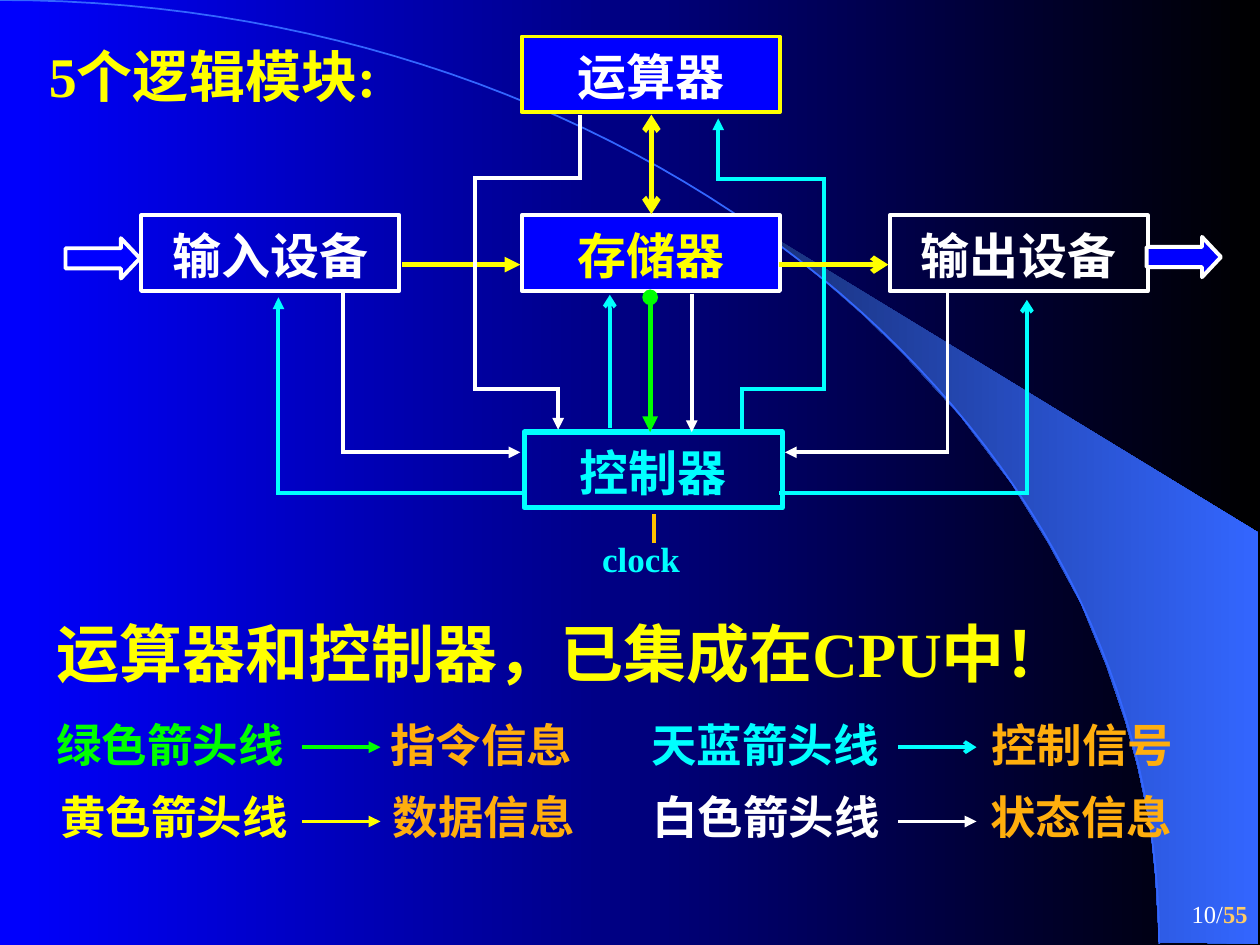
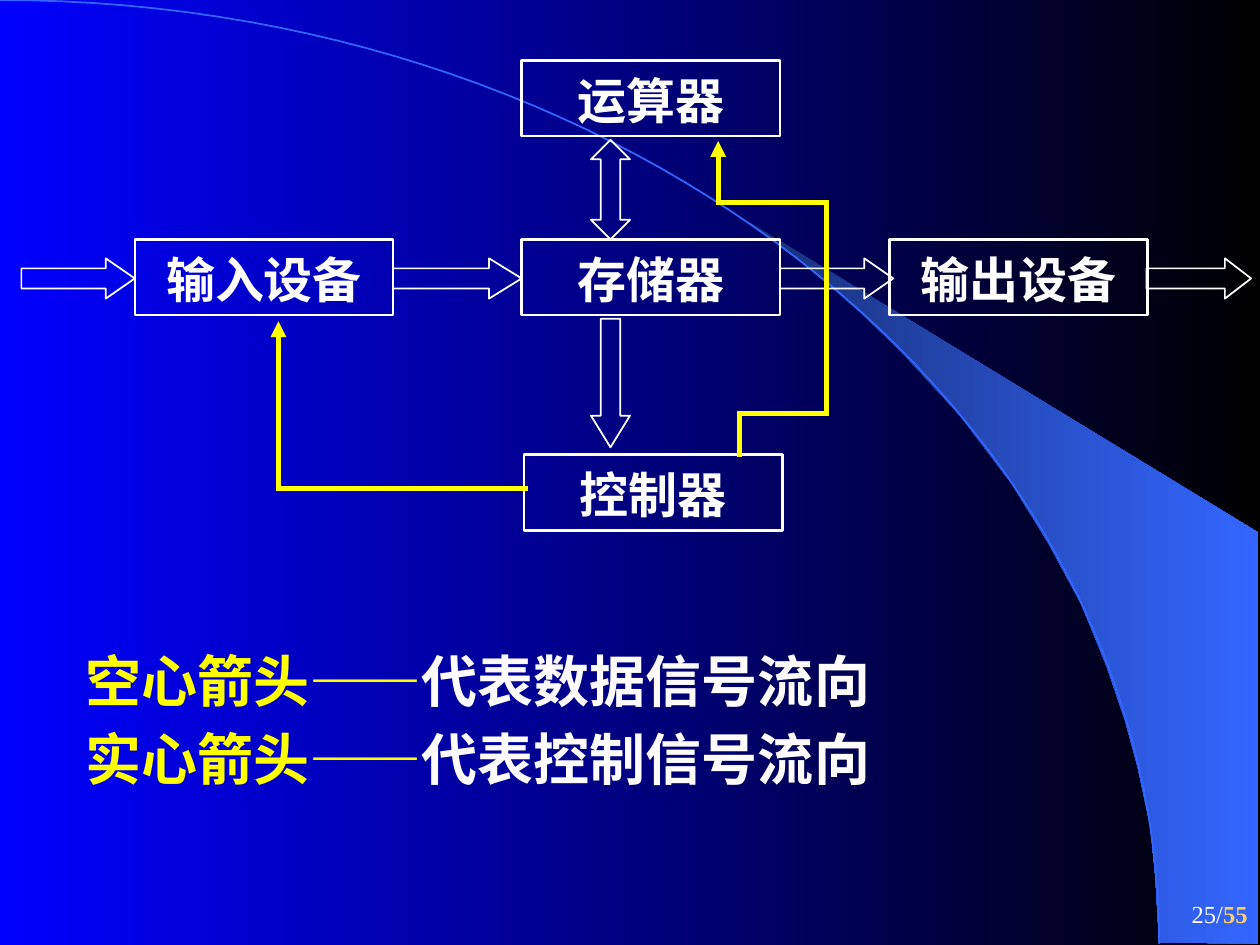
from pptx import Presentation
from pptx.util import Inches, Pt
from pptx.dml.color import RGBColor
from pptx.enum.shapes import MSO_SHAPE as Geo, MSO_CONNECTOR as Link
from pptx.enum.text import PP_ALIGN as Align, MSO_ANCHOR as Anchor
from pptx.oxml.ns import qn
from lxml.etree import SubElement

# Shared look
HUES = {
    "blue": "0000FF", "black": "000000", "navy": "182F76", "sky": "3366FF",
    "white": "FFFFFF", "snow": "FDFBFB", "yellow": "FFFF00", "cyan": "00FFFF",
    "green": "00FF00", "amber": "FFAE0D", "gold": "FFC000", "sand": "FFCC66",
}
HAN, SANS, SERIF = "Noto Sans CJK SC", "Arial", "Times New Roman"
TOTAL = "55"
BOX = (2.05, 0.6)
CURVE = [(0, 0), (5.08, 0), (9.2, 3.35), (9.2, 7.49)]
WEDGE = [
    (9.2, 7.48), (9.99, 7.49), (9.99, 4.23), (5.89, 1.73), (6.24, 1.99),
    (6.53, 2.22), (6.85, 2.5), (7.16, 2.8), (7.62, 3.3), (8.03, 3.84),
    (8.32, 4.31), (8.58, 4.79), (8.78, 5.28), (8.93, 5.72), (9.03, 6.09),
    (9.13, 6.56), (9.17, 6.96), (9.2, 7.48),
]

# Five modules: text, left, top, text hue, line hue, line width, fill
MODULES = [
    ("运算器", 4.14, 0.29, "white", "yellow", 2.25, "blue"),
    ("控制器", 4.16, 3.43, "cyan", "cyan", 3, None),
    ("存储器", 4.14, 1.71, "yellow", "white", 2.25, "blue"),
    ("输出设备", 7.06, 1.71, "white", "white", 2.25, None),
    ("输入设备", 1.12, 1.71, "white", "white", 2.25, None),
]
PORTS = [(0.52, 1.89), (9.1, 1.88)]
# Signal routes: points, hue, width, start head, end head
ROUTES = [
    ([(4.17, 3.91), (2.21, 3.91), (2.21, 2.36)], "cyan", 2.25, None, "triangle"),
    ([(5.89, 3.43), (5.89, 3.09), (6.54, 3.09), (6.54, 1.42), (5.7, 1.42),
      (5.7, 0.94)], "cyan", 2.25, None, "triangle"),
    ([(4.84, 3.4), (4.84, 2.34)], "cyan", 2.25, None, "arrow"),
    ([(6.2, 3.91), (8.15, 3.91), (8.15, 2.38)], "cyan", 2.25, None, "arrow"),
    ([(3.19, 2.1), (4.13, 2.1)], "yellow", 3, None, "triangle"),
    ([(5.16, 2.36), (5.16, 3.43)], "green", 3, "oval", "triangle"),
    ([(6.18, 2.1), (7.05, 2.1)], "yellow", 3, None, "arrow"),
    ([(5.17, 1.7), (5.17, 0.91)], "yellow", 3, "arrow", "arrow"),
    ([(4.6, 0.93), (4.6, 1.41), (3.77, 1.41), (3.77, 3.09), (4.43, 3.09),
      (4.43, 3.41)], "white", 2.25, None, "triangle"),
    ([(2.72, 2.33), (2.72, 3.59), (4.13, 3.59)], "white", 2.25, None, "triangle"),
    ([(7.52, 2.33), (7.52, 3.59), (6.23, 3.59)], "white", 2.25, None, "triangle"),
    ([(5.49, 2.33), (5.49, 3.43)], "white", 2.25, None, "triangle"),
    ([(5.19, 4.08), (5.19, 4.31)], "gold", 2.25, None, None),
]
# Legend: label, hue, label left, meaning, meaning left, arrow left, top, head
LEGEND = [
    ("绿色箭头线", "green", 0.35, "指令信息", 3, 2.4, 5.64, "triangle"),
    ("天蓝箭头线", "cyan", 5.07, "控制信号", 7.77, 7.13, 5.64, "arrow"),
    ("黄色箭头线", "yellow", 0.38, "数据信息", 3.02, 2.4, 6.21, "triangle"),
    ("白色箭头线", "white", 5.08, "状态信息", 7.76, 7.13, 6.21, "triangle"),
]

# Signal flow: modules, hollow arrows, solid routes, key
FLOW = [
    ("控制器", 4.16, 3.61), ("存储器", 4.14, 1.9), ("运算器", 4.14, 0.48),
    ("输出设备", 7.06, 1.9), ("输入设备", 1.07, 1.9),
]
HOLLOW = [
    (Geo.RIGHT_ARROW, 9.1, 2.05, 0.83, 0.32, 0.65),
    (Geo.RIGHT_ARROW, 0.17, 2.05, 0.9, 0.32, 0.72),
    (Geo.RIGHT_ARROW, 3.12, 2.05, 1.02, 0.32, 0.81),
    (Geo.RIGHT_ARROW, 6.19, 2.05, 0.9, 0.32, 0.72),
    (Geo.DOWN_ARROW, 4.69, 2.53, 0.31, 1.02, 0.81),
    (Geo.UP_DOWN_ARROW, 4.69, 1.11, 0.31, 0.79, 0.5),
]
SOLID = [
    [(4.17, 3.88), (2.21, 3.88), (2.21, 2.55)],
    [(5.87, 3.61), (5.87, 3.28), (6.56, 3.28), (6.56, 1.61), (5.7, 1.61),
     (5.7, 1.12)],
]
KEY = [
    ("空心箭头——", "代表数据信号流向", 5.08),
    ("实心箭头——", "代表控制信号流向", 5.7),
]


def hue(name):
    return RGBColor.from_string(HUES[name])


def blend(fill, start, end):
    fill.gradient()
    fill.gradient_angle = 0
    for stop, name in zip(fill.gradient_stops, (start, end)):
        stop.color.rgb = hue(name)


def style(shape, fill=None, line=None, width=1):
    shape.shadow.inherit = False
    if fill:
        shape.fill.solid()
        shape.fill.fore_color.rgb = hue(fill)
    else:
        shape.fill.background()
    if line:
        shape.line.color.rgb = hue(line)
        shape.line.width = Pt(width)
    else:
        shape.line.fill.background()


def write(shape, *runs, size=26, font=HAN, bold=True, align=Align.LEFT,
          anchor=Anchor.TOP, top=0.05, wrap=True):
    """Fill a shape with one paragraph; each run is (text, hue[, bold])."""
    frame = shape.text_frame
    frame.word_wrap = wrap
    frame.vertical_anchor = anchor
    frame.margin_left = frame.margin_right = Inches(0.1)
    frame.margin_top, frame.margin_bottom = Inches(top), Inches(0.05)
    para = frame.paragraphs[0]
    para.alignment = align
    for text, tint, *heavy in runs:
        run = para.add_run()
        run.text = text
        run.font.size = Pt(size)
        run.font.bold = heavy[0] if heavy else bold
        run.font.color.rgb = hue(tint)
        run.font.name = font
        SubElement(run.font._element, qn("a:ea"), typeface=HAN)


def label(slide, at, *runs, **form):
    write(slide.shapes.add_textbox(*map(Inches, at)), *runs, **form)


def block(slide, geo, at, fill=None, line="white", width=1, point=None):
    shape = slide.shapes.add_shape(geo, *map(Inches, at))
    style(shape, fill, line, width)
    if point:
        shape.adjustments[0] = 0.5
        shape.adjustments[1] = point
    return shape


def module(slide, text, x, y, tint="white", line="white", width=1.5, fill=None):
    box = block(slide, Geo.RECTANGLE, (x, y, *BOX), fill, line, width)
    write(box, (text, tint), size=28, font=SANS, align=Align.CENTER, top=0.08)


def route(slide, points, tint, width, head=None, tail=None):
    """Join the points with straight lines; heads go on the outer ends."""
    last = len(points) - 2
    for i, (start, end) in enumerate(zip(points, points[1:])):
        link = slide.shapes.add_connector(
            Link.STRAIGHT, *map(Inches, (*start, *end)))
        link.line.color.rgb = hue(tint)
        link.line.width = Pt(width)
        props = link._element.spPr
        SubElement(props, qn("a:effectLst"))
        edge = props.find(qn("a:ln"))
        if last:
            edge.set("cap", "sq")
        if head and i == 0:
            SubElement(edge, qn("a:headEnd"), type=head)
        if tail and i == last:
            SubElement(edge, qn("a:tailEnd"), type=tail)


def outline(slide, points, close):
    spots = [(Inches(x), Inches(y)) for x, y in points]
    pen = slide.shapes.build_freeform(*spots[0])
    pen.add_line_segments(spots[1:], close=close)
    shape = pen.convert_to_shape()
    style(shape)
    return shape


def bezier(ends, steps=60):
    for i in range(steps + 1):
        t = i / steps
        parts = ((1 - t) ** 3, 3 * t * (1 - t) ** 2, 3 * t * t * (1 - t), t ** 3)
        yield tuple(sum(w * p[k] for w, p in zip(parts, ends)) for k in (0, 1))


def start(deck, page):
    """Add a slide with the backdrop, the sweep and the page number."""
    slide = deck.slides.add_slide(deck.slide_layouts[6])
    blend(slide.background.fill, "blue", "black")
    blend(outline(slide, WEDGE, True).fill, "navy", "sky")
    style(outline(slide, bezier(CURVE), False), line="sky")
    label(slide, (7.92, 7, 2.08, 0.5), (f"{page}/", "white", False),
          (TOTAL, "sand"), size=14, font=SERIF, align=Align.RIGHT,
          anchor=Anchor.MIDDLE)
    return slide


def logic(deck):
    slide = start(deck, 10)
    for item in MODULES:
        module(slide, *item)
    for x, y in PORTS:
        block(slide, Geo.RIGHT_ARROW, (x, y, 0.59, 0.32), "blue", width=2.25,
              point=0.47)
    for item in ROUTES:
        route(slide, *item)
    label(slide, (0.29, 0.28, 3.01, 0.64), ("5个逻辑模块:", "yellow"),
          size=32, font=SERIF, wrap=False)
    label(slide, (4.68, 4.22, 0.98, 0.44), ("clock", "cyan"),
          size=20, font=SERIF)
    label(slide, (0.35, 4.83, 9.06, 0.7),
          ("运算器和控制器，已集成在CPU中！", "yellow"), size=36, font=SERIF)
    for name, tint, x, sense, right, left, y, tail in LEGEND:
        label(slide, (x, y, 2.4, 0.54), (name, tint))
        label(slide, (right, y, 2, 0.54), (sense, "amber"))
        level = y + (0.29 if y < 6 else 0.31)
        route(slide, [(left, level), (left + 0.62, level)], tint, 2.25, tail=tail)


def flow(deck):
    slide = start(deck, 25)
    for item in FLOW:
        module(slide, *item)
    for geo, x, y, w, h, point in HOLLOW:
        block(slide, geo, (x, y, w, h), point=point)
    for points in SOLID:
        route(slide, points, "yellow", 3, tail="triangle")
    for name, sense, y in KEY:
        label(slide, (0.58, y, 6.9, 0.64), (name, "yellow"), (sense, "snow"),
              size=32, font=SANS)


def main():
    deck = Presentation()
    deck.slide_width, deck.slide_height = Inches(10), Inches(7.5)
    logic(deck)
    flow(deck)
    deck.save("out.pptx")


if __name__ == "__main__":
    main()
